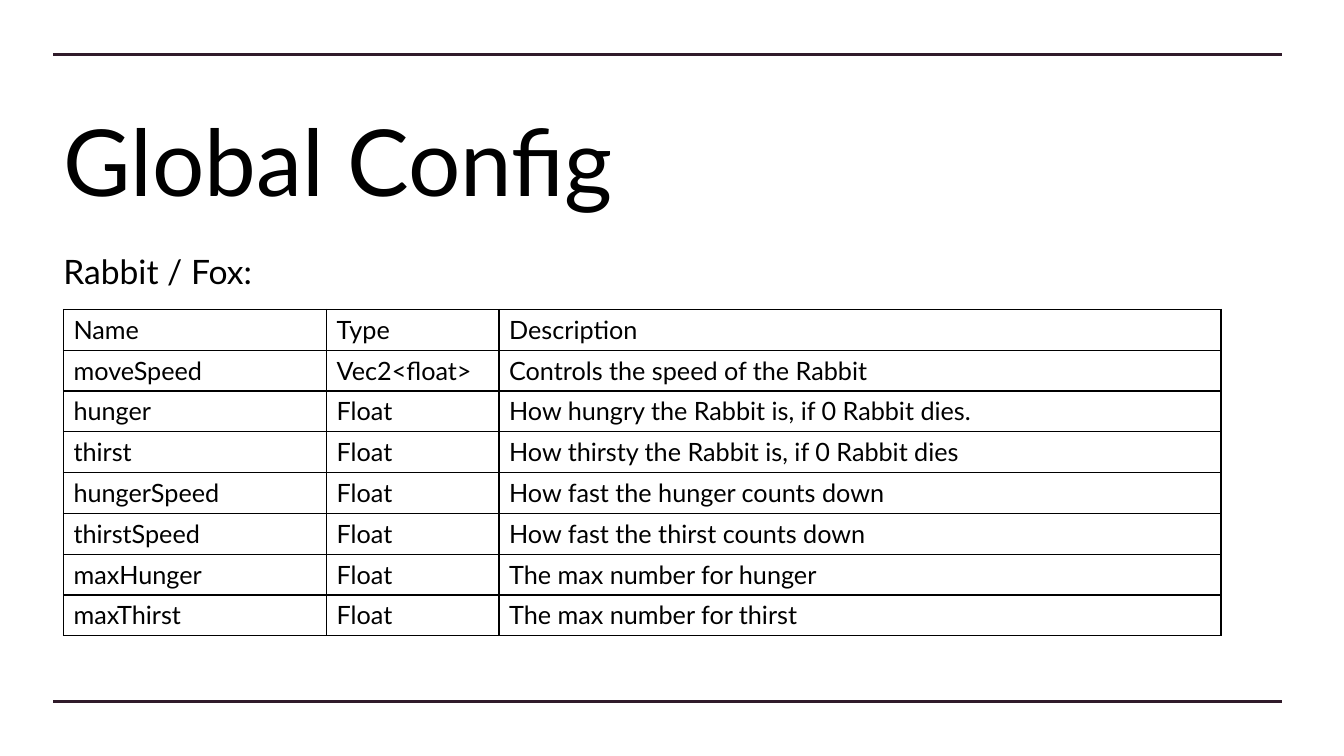
import pptx
import pptx.dml.color
import pptx.enum.shapes
import pptx.enum.text
import pptx.oxml
import pptx.util
from pptx.util import Inches

TITLE = "Global Config"
SUBTITLE = "Rabbit / Fox:"
SETTINGS = [
    ("Name", "Type", "Description"),
    ("moveSpeed", "Vec2<float>", "Controls the speed of the Rabbit"),
    ("hunger", "Float", "How hungry the Rabbit is, if 0 Rabbit dies."),
    ("thirst", "Float", "How thirsty the Rabbit is, if 0 Rabbit dies"),
    ("hungerSpeed", "Float", "How fast the hunger counts down"),
    ("thirstSpeed", "Float", "How fast the thirst counts down"),
    ("maxHunger", "Float", "The max number for hunger"),
    ("maxThirst", "Float", "The max number for thirst"),
]
COLUMN_WIDTHS = (2.61, 1.71, 7.16)
ROW_HEIGHT = 0.405
RULE_LEFT, RULE_RIGHT = 0.53, 12.72
RULE_MARGIN = 0.54
SLIDE_WIDTH, SLIDE_HEIGHT = 13.33, 7.5
TEXT_WIDTH = 11.49

THEME = {
    "font": "Lato",
    "text": "000000",
    "rule": "301B2A",
    "border": "000000",
    "title_size": 66,
    "subtitle_size": 24,
    "table_size": 18,
    "rule_width": 2.25,
    "border_width": 1,
}


def rgb(name):
    return pptx.dml.color.RGBColor.from_string(THEME[name])


def write(frame, wording, size):
    paragraph = frame.paragraphs[0]
    paragraph.text = wording
    paragraph.font.name = THEME["font"]
    paragraph.font.size = pptx.util.Pt(THEME[size])
    paragraph.font.color.rgb = rgb("text")


def add_rule(slide, y):
    rule = slide.shapes.add_connector(
        pptx.enum.shapes.MSO_CONNECTOR.STRAIGHT,
        Inches(RULE_LEFT), Inches(y), Inches(RULE_RIGHT), Inches(y))
    rule.line.color.rgb = rgb("rule")
    rule.line.width = pptx.util.Pt(THEME["rule_width"])
    properties = rule._element.spPr
    properties.append(properties.makeelement(pptx.oxml.ns.qn("a:effectLst"), {}))


def add_heading(slide, wording, size, top, height, anchor):
    heading = slide.shapes.add_textbox(
        Inches(RULE_LEFT), Inches(top), Inches(TEXT_WIDTH), Inches(height))
    heading.text_frame.word_wrap = True
    heading.text_frame.vertical_anchor = anchor
    write(heading.text_frame, wording, size)


def add_borders(cell):
    properties = cell._tc.get_or_add_tcPr()
    width = pptx.util.Pt(THEME["border_width"])
    for position, side in enumerate(("lnL", "lnR", "lnT", "lnB")):
        border = pptx.oxml.parse_xml(
            f'<a:{side} {pptx.oxml.ns.nsdecls("a")} w="{width}"><a:solidFill>'
            f'<a:srgbClr val="{THEME["border"]}"/></a:solidFill></a:{side}>')
        properties.insert(position, border)


def add_settings(slide):
    table = slide.shapes.add_table(
        len(SETTINGS), len(COLUMN_WIDTHS), Inches(0.63), Inches(3.07),
        Inches(sum(COLUMN_WIDTHS)), Inches(ROW_HEIGHT * len(SETTINGS))).table
    table.first_row = False
    table.horz_banding = False
    for column, width in zip(table.columns, COLUMN_WIDTHS):
        column.width = Inches(width)
    for row, setting in zip(table.rows, SETTINGS):
        row.height = Inches(ROW_HEIGHT)
        for cell, wording in zip(row.cells, setting):
            cell.fill.background()
            write(cell.text_frame, wording, "table_size")
            add_borders(cell)


def main():
    presentation = pptx.Presentation()
    presentation.slide_width = Inches(SLIDE_WIDTH)
    presentation.slide_height = Inches(SLIDE_HEIGHT)
    slide = presentation.slides.add_slide(presentation.slide_layouts[6])
    anchors = pptx.enum.text.MSO_ANCHOR
    for y in (SLIDE_HEIGHT - RULE_MARGIN, RULE_MARGIN):
        add_rule(slide, y)
    add_heading(slide, TITLE, "title_size", -0.59, 2.77, anchors.BOTTOM)
    add_heading(slide, SUBTITLE, "subtitle_size", 2.44, 3.99, anchors.TOP)
    add_settings(slide)
    presentation.save("out.pptx")


if __name__ == "__main__":
    main()
